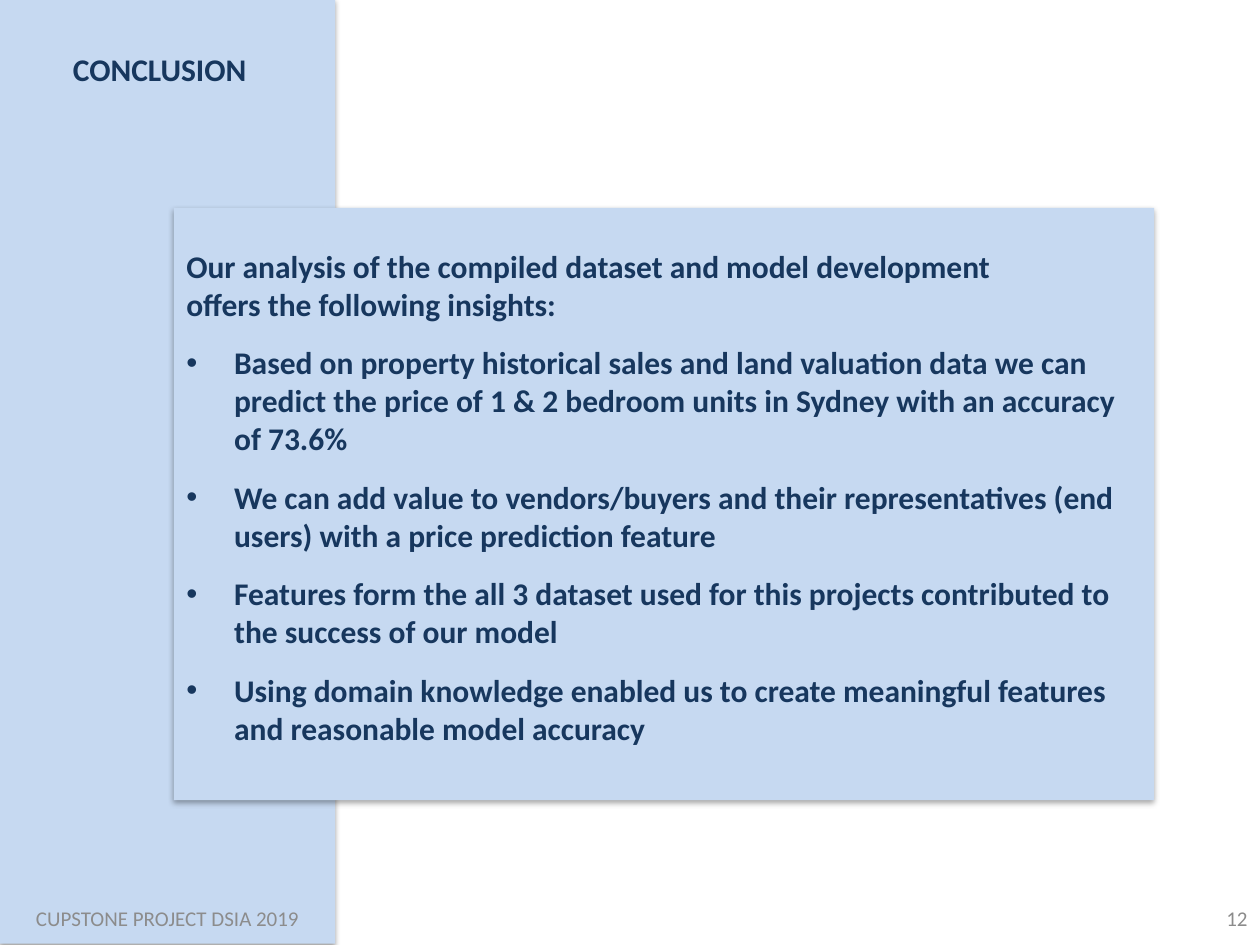
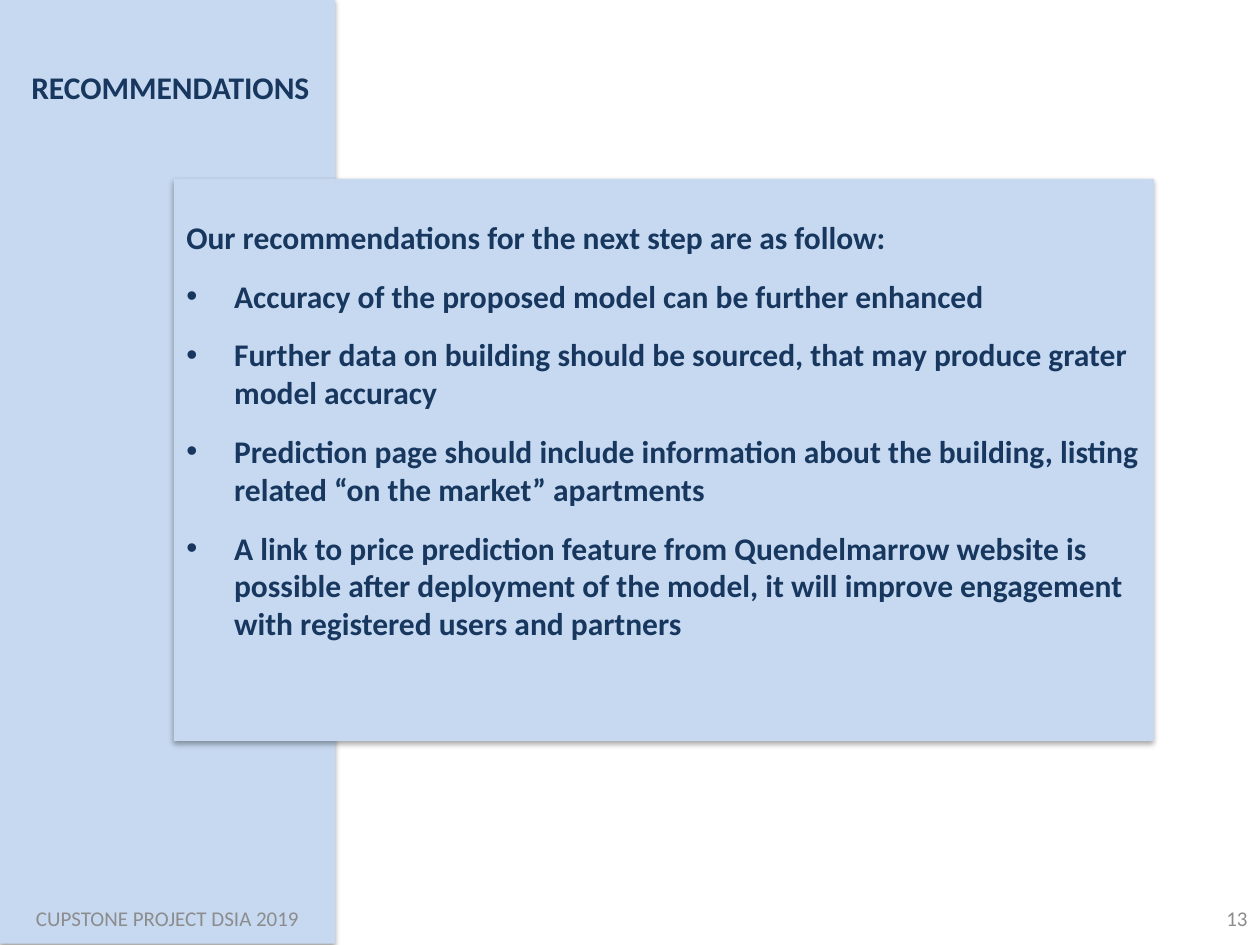
"""Build the conclusion and recommendations slides of a property price project."""
import lxml.etree
import pptx
import pptx.dml.color
import pptx.enum.shapes
import pptx.enum.text
import pptx.oxml.ns
import pptx.util
from pptx.util import Inches

PALE_BLUE = pptx.dml.color.RGBColor(0xC6, 0xD9, 0xF1)
NAVY = pptx.dml.color.RGBColor(0x17, 0x37, 0x5E)
GREY = pptx.dml.color.RGBColor(0x8C, 0x8C, 0x8C)
FONT = "Calibri"
FOOTER = "CUPSTONE PROJECT DSIA 2019"
SIDEBAR_WIDTH = 2.66
PANEL_LEFT, PANEL_WIDTH = 1.38, 7.78
FOOTER_TOP, FOOTER_HEIGHT = 7.09, 0.4
NUMBER_WIDTH = 2.33
BULLET_INDENT = Inches(0.38)
ALIGN = pptx.enum.text.PP_ALIGN
ANCHOR = pptx.enum.text.MSO_ANCHOR
AUTO_SIZE = pptx.enum.text.MSO_AUTO_SIZE
qn = pptx.oxml.ns.qn

SLIDES = [
    {
        "title": "CONCLUSION",
        "title_box": (0.48, 0.35, 1.71, 0.4),
        "panel_top": 1.65,
        "panel_height": 4.7,
        "text_height": 4.11,
        "intro": ["Our analysis of the compiled dataset and model development",
                  "offers the following insights:"],
        "points": [
            "Based on property historical sales and land valuation data we can predict "
            "the price of 1 & 2 bedroom units in Sydney with an accuracy of 73.6%",
            "We can add value to vendors/buyers and their representatives (end users) "
            "with a price prediction feature",
            "Features form the all 3 dataset used for this projects contributed to "
            "the success of our model",
            "Using domain knowledge enabled us to create meaningful features "
            "and reasonable model accuracy",
        ],
    },
    {
        "title": "RECOMMENDATIONS",
        "title_box": (0.15, 0.49, 2.43, 0.4),
        "panel_top": 1.42,
        "panel_height": 4.46,
        "text_height": 3.5,
        "intro": ["Our recommendations for the next step are as follow:"],
        "points": [
            "Accuracy of the proposed model can be further enhanced",
            "Further data on building should be sourced, that may produce grater "
            "model accuracy",
            "Prediction page should include information about the building, listing "
            "related “on the market” apartments",
            "A link to price prediction feature from Quendelmarrow website is possible "
            "after deployment of the model, it will improve engagement with registered "
            "users and partners",
        ],
    },
]


def add_text(slide, box, lines, points=(), size=18, color=NAVY, bold=True,
             align=ALIGN.LEFT, anchor=ANCHOR.TOP, wrap=True, grow=True):
    """Add a text box of plain lines followed by bulleted points."""
    frame = slide.shapes.add_textbox(*map(Inches, box)).text_frame
    frame.word_wrap = wrap
    frame.auto_size = AUTO_SIZE.SHAPE_TO_FIT_TEXT if grow else AUTO_SIZE.NONE
    frame.vertical_anchor = anchor
    for index, text in enumerate([*lines, *points]):
        paragraph = frame.add_paragraph() if index else frame.paragraphs[0]
        paragraph.alignment = align
        run = paragraph.add_run()
        run.text = text
        run.font.name = FONT
        run.font.size = pptx.util.Pt(size)
        run.font.bold = bold
        run.font.color.rgb = color
        if index >= len(lines):
            paragraph.space_before = pptx.util.Pt(12)
            properties = paragraph._p.get_or_add_pPr()
            properties.set("marL", str(BULLET_INDENT))
            properties.set("indent", str(-BULLET_INDENT))
            lxml.etree.SubElement(properties, qn("a:buFont"), typeface="Arial")
            lxml.etree.SubElement(properties, qn("a:buChar"), char="•")


def add_panel(slide, box):
    """Add a pale blue rectangle with a soft shadow below it."""
    panel = slide.shapes.add_shape(
        pptx.enum.shapes.MSO_SHAPE.RECTANGLE, *map(Inches, box))
    panel.fill.solid()
    panel.fill.fore_color.rgb = PALE_BLUE
    panel.line.fill.background()
    panel.shadow.inherit = False
    effects = panel._element.spPr.find(qn("a:effectLst"))
    shadow = lxml.etree.SubElement(
        effects, qn("a:outerShdw"), blurRad=str(pptx.util.Pt(3.1)),
        dist=str(pptx.util.Pt(1.8)), dir="5400000", rotWithShape="0")
    shade = lxml.etree.SubElement(shadow, qn("a:srgbClr"), val="000000")
    lxml.etree.SubElement(shade, qn("a:alpha"), val="35000")


deck = pptx.Presentation()
deck.slide_width = Inches(10)
deck.slide_height = Inches(7.5)

for number, content in enumerate(SLIDES, start=12):
    slide = deck.slides.add_slide(deck.slide_layouts[6])
    top = content["panel_top"]
    add_panel(slide, (0, -0.01, SIDEBAR_WIDTH, 7.5))
    add_panel(slide, (PANEL_LEFT, top, PANEL_WIDTH, content["panel_height"]))
    add_text(slide, content["title_box"], [content["title"]], wrap=False)
    add_text(slide, (PANEL_LEFT, top + 0.26, PANEL_WIDTH, content["text_height"]),
             content["intro"], content["points"])
    for left, width, text, align in [
        (10 - NUMBER_WIDTH, NUMBER_WIDTH, str(number), ALIGN.RIGHT),
        (0, SIDEBAR_WIDTH, FOOTER, ALIGN.CENTER),
    ]:
        add_text(slide, (left, FOOTER_TOP, width, FOOTER_HEIGHT), [text], size=12,
                 color=GREY, bold=False, align=align, anchor=ANCHOR.MIDDLE, grow=False)

deck.save("out.pptx")
